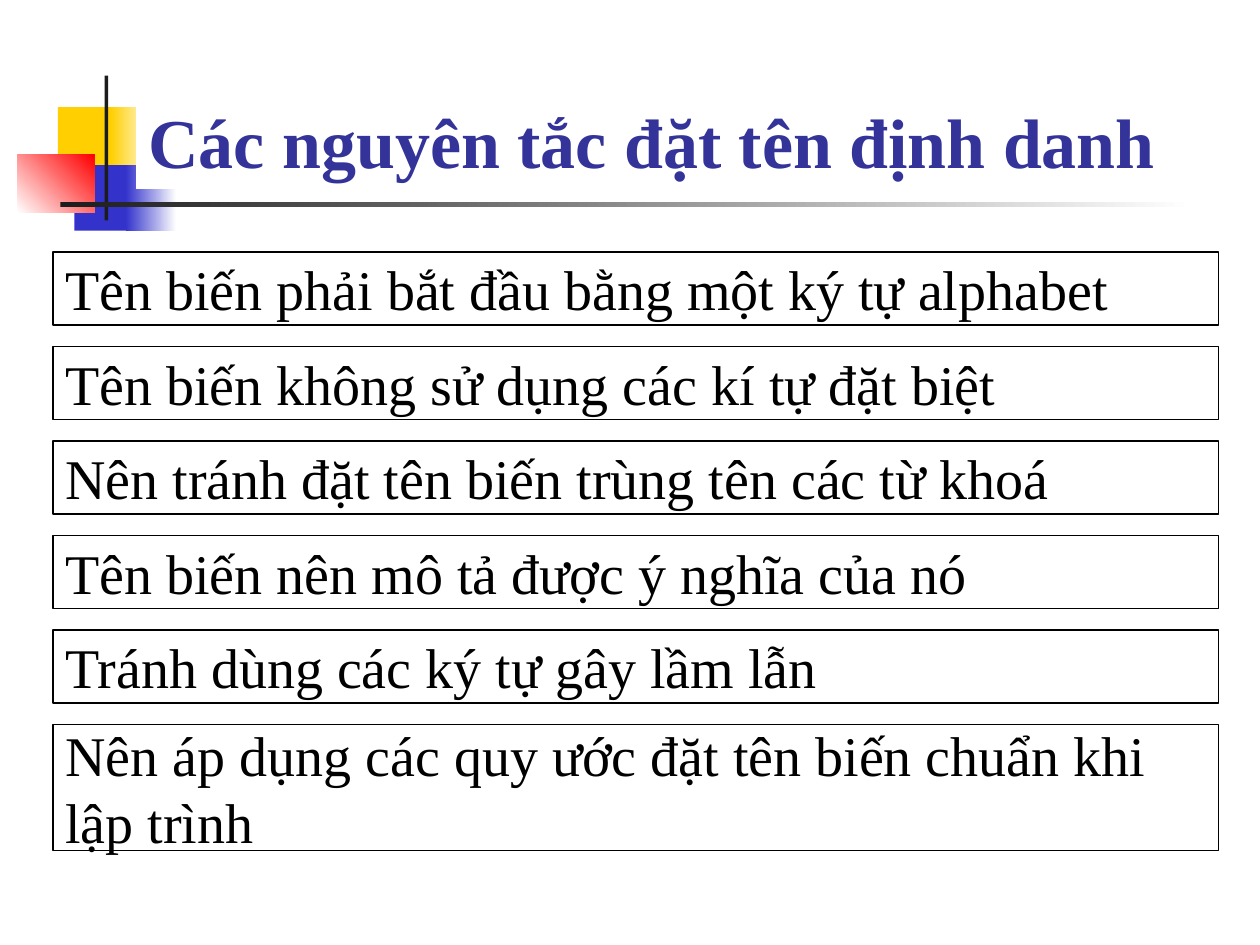
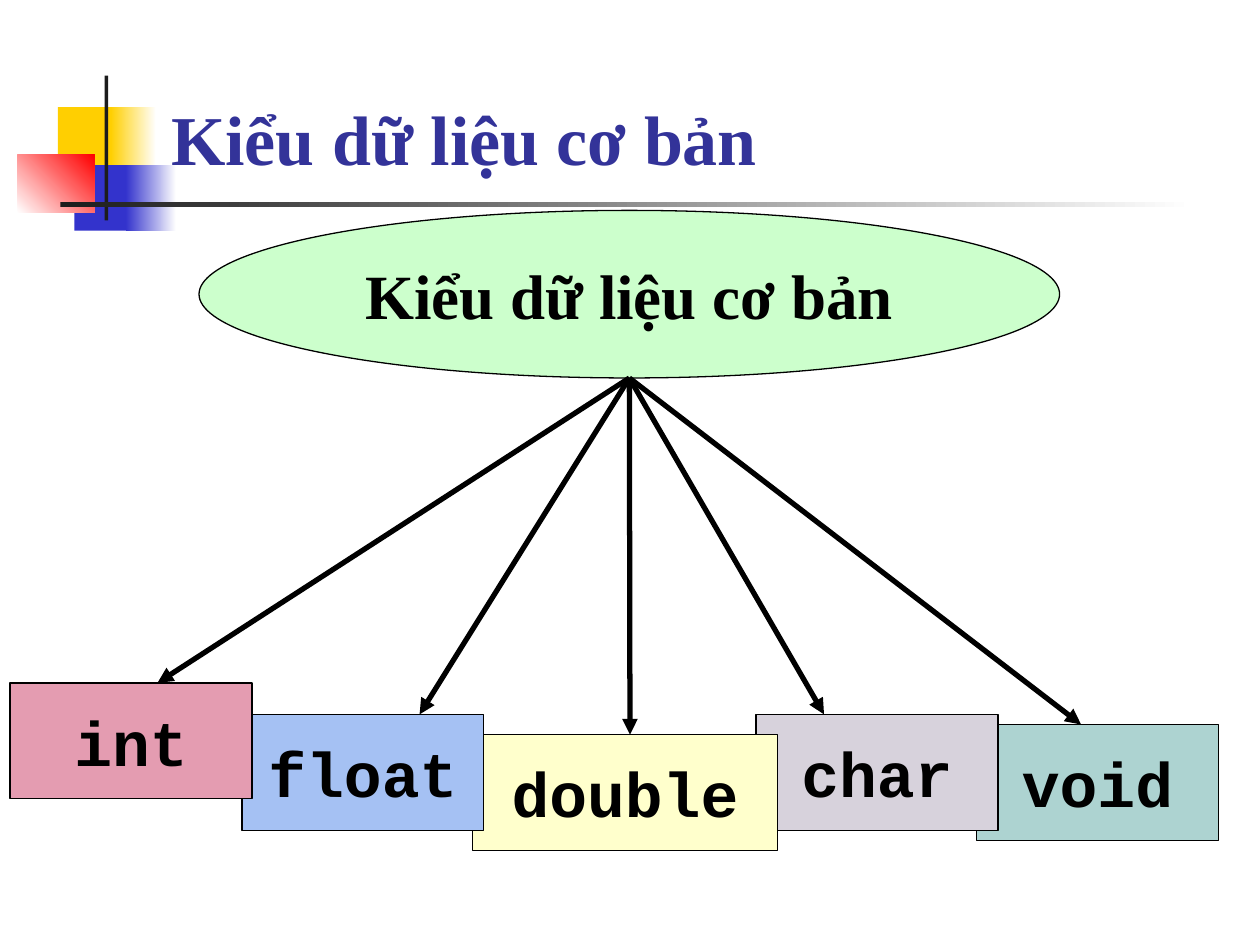
from lxml import etree
from pptx import Presentation
from pptx.dml.color import RGBColor
from pptx.enum.shapes import MSO_CONNECTOR as Connector, MSO_SHAPE as Shape
from pptx.enum.text import MSO_ANCHOR as Anchor, PP_ALIGN as Align
from pptx.oxml.ns import qn
from pptx.util import Inches, Pt

COLORS = {
    "white": "FFFFFF", "black": "000000", "ink": "1C1C1C", "title": "333399",
    "yellow": "FFCF01", "blue": "3333CC", "red": "FF0000", "root": "CCFFCC",
    "int": "E49CB1", "float": "A5C1F3", "double": "FFFFCC",
    "char": "D7D2DC", "void": "ADD3D1",
}
SERIF, MONO = "Times New Roman", "Courier New"
TITLE_FORMAT = {"name": SERIF, "size": Pt(40), "bold": True}
RULE_FORMAT = {"name": SERIF, "size": Pt(32), "bold": False}
ROOT_FORMAT = {"name": SERIF, "size": Pt(36), "bold": True}
TYPE_FORMAT = {"name": MONO, "size": Pt(36), "bold": True}

MOTIF = [
    ((0.46, 0.85, 0.48, 0.52), ("yellow",), 0),
    ((0.88, 0.85, 0.36, 0.52), ("yellow", "white"), 0),
    ((0.59, 1.31, 0.46, 0.52), ("blue",), 0),
    ((1, 1.31, 0.4, 0.52), ("blue", "white"), 0),
    ((0.14, 1.23, 0.61, 0.46), ("white", "red"), 45),
    ((0.83, 0.6, 0.03, 1.15), ("ink",), 0),
    ((0.48, 1.6, 9, 0.04), ("ink", "white"), 0),
]
RULES = [
    "Tên biến phải bắt đầu bằng một ký tự alphabet",
    "Tên biến không sử dụng các kí tự đặt biệt",
    "Nên tránh đặt tên biến trùng tên các từ khoá",
    "Tên biến nên mô tả được ý nghĩa của nó",
    "Tránh dùng các ký tự gây lầm lẫn",
    "Nên áp dụng các quy ước đặt tên biến chuẩn khi lập trình",
]
TYPES = [
    ("void", 7.75, 5.75, 1.92, 8.58),
    ("char", 6, 5.67, 1.92, 6.54),
    ("double", 3.75, 5.83, 2.42, 5),
    ("float", 1.92, 5.67, 1.92, 3.33),
    ("int", 0.08, 5.42, 1.92, 1.25),
]


def color(name):
    """Return the named colour of the deck."""
    return RGBColor.from_string(COLORS[name])


def add_block(page, area, fills=(), angle=0, outlined=False, kind=Shape.RECTANGLE):
    """Draw a shape with no fill, a plain fill or a two-colour gradient."""
    box = page.shapes.add_shape(kind, *map(Inches, area))
    box.shadow.inherit = False
    if len(fills) == 2:
        box.fill.gradient()
        box.fill.gradient_angle = angle
        for stop, name in zip(box.fill.gradient_stops, fills):
            stop.color.rgb = color(name)
    elif fills:
        box.fill.solid()
        box.fill.fore_color.rgb = color(fills[0])
    else:
        box.fill.background()
    if outlined:
        box.line.color.rgb = color("black")
        box.line.width = Pt(0.75)
    else:
        box.line.fill.background()
    return box


def write(box, text, font_format, ink="black", align=Align.LEFT, anchor=Anchor.MIDDLE):
    """Put one formatted paragraph into a box."""
    frame = box.text_frame
    frame.word_wrap = True
    frame.vertical_anchor = anchor
    para = frame.paragraphs[0]
    para.alignment = align
    span = para.add_run()
    span.text = text
    for key, value in font_format.items():
        setattr(span.font, key, value)
    span.font.color.rgb = color(ink)


def add_page(deck, title, area, fills=()):
    """Add a page with the corner motif and its title."""
    page = deck.slides.add_slide(deck.slide_layouts[6])
    for motif_area, motif_fills, angle in MOTIF:
        add_block(page, motif_area, motif_fills, angle)
    write(add_block(page, area, fills), title, TITLE_FORMAT, "title", anchor=Anchor.BOTTOM)
    return page


def add_rules(page, left, top, width, pitch=0.75):
    """Stack the naming rules in outlined rows, the last one taller."""
    for index, rule in enumerate(RULES):
        height = 1 if rule == RULES[-1] else 0.58
        row = add_block(page, (left, top + index * pitch, width, height), outlined=True)
        write(row, rule, RULE_FORMAT)


def add_arrow(page, start, end):
    """Draw a thick arrow between two points."""
    arrow = page.shapes.add_connector(Connector.STRAIGHT, *map(Inches, start + end))
    arrow.line.color.rgb = color("black")
    arrow.line.width = Pt(3)
    etree.SubElement(arrow.line._get_or_add_ln(), qn("a:tailEnd"), type="triangle")
    etree.SubElement(arrow._element.spPr, qn("a:effectLst"))


def add_type_tree(page, left, top, width, height):
    """Draw the root ellipse, the type boxes and the arrows to them."""
    root = add_block(page, (left, top, width, height), ("root",), outlined=True,
                     kind=Shape.OVAL)
    write(root, "Kiểu dữ liệu cơ bản", ROOT_FORMAT, align=Align.CENTER)
    for name, type_left, type_top, type_width, _ in TYPES:
        box = add_block(page, (type_left, type_top, type_width, 0.92), (name,), outlined=True)
        write(box, name, TYPE_FORMAT, align=Align.CENTER)
    for _, _, type_top, _, tip in TYPES:
        add_arrow(page, (left + width / 2, top + height), (tip, type_top))


def main():
    """Build and save the deck."""
    deck = Presentation()
    deck.slide_width, deck.slide_height = Inches(10), Inches(7.5)
    rules_page = add_page(deck, "Các nguyên tắc đặt tên định danh",
                          (1.08, 0.58, 8.7, 0.92), ("white",))
    add_rules(rules_page, 0.42, 2, 9.25)
    types_page = add_page(deck, "Kiểu dữ liệu cơ bản", (1.26, 0.58, 8.41, 0.89))
    add_type_tree(types_page, 1.58, 1.67, 6.83, 1.33)
    deck.save("out.pptx")


if __name__ == "__main__":
    main()
